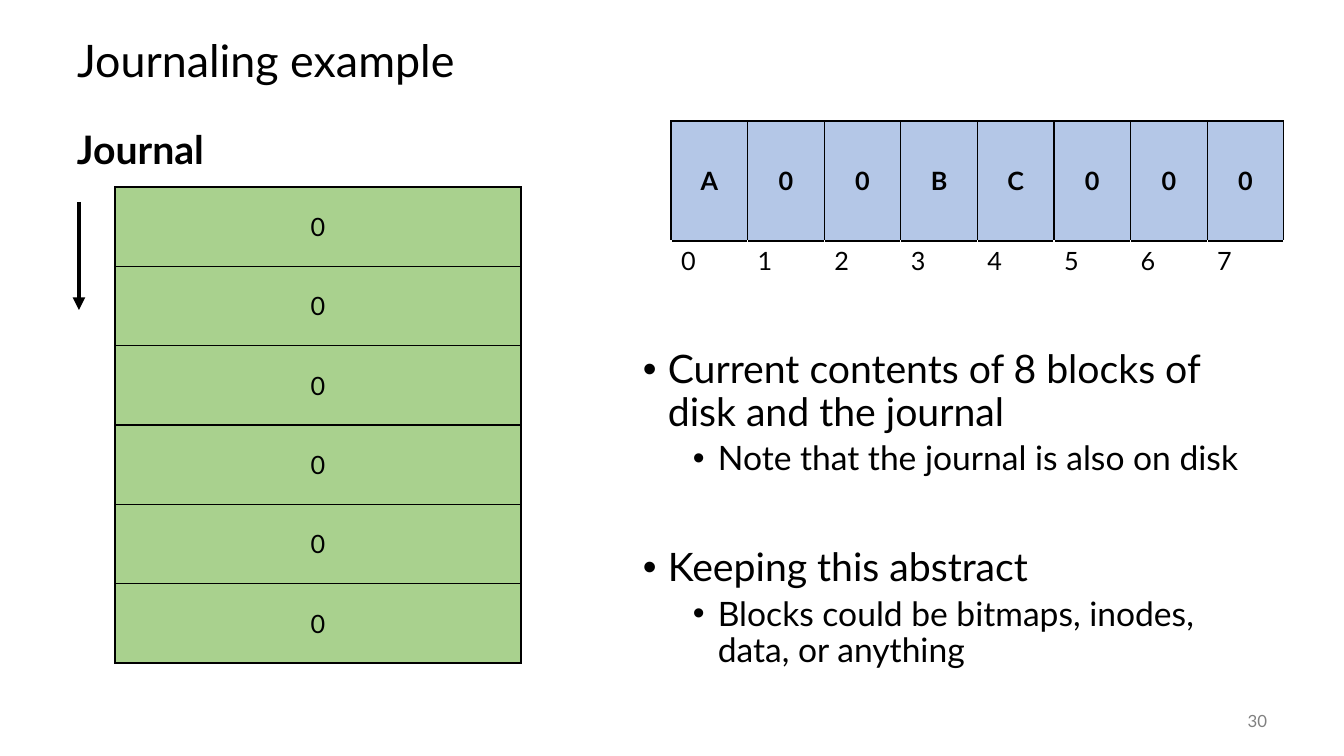
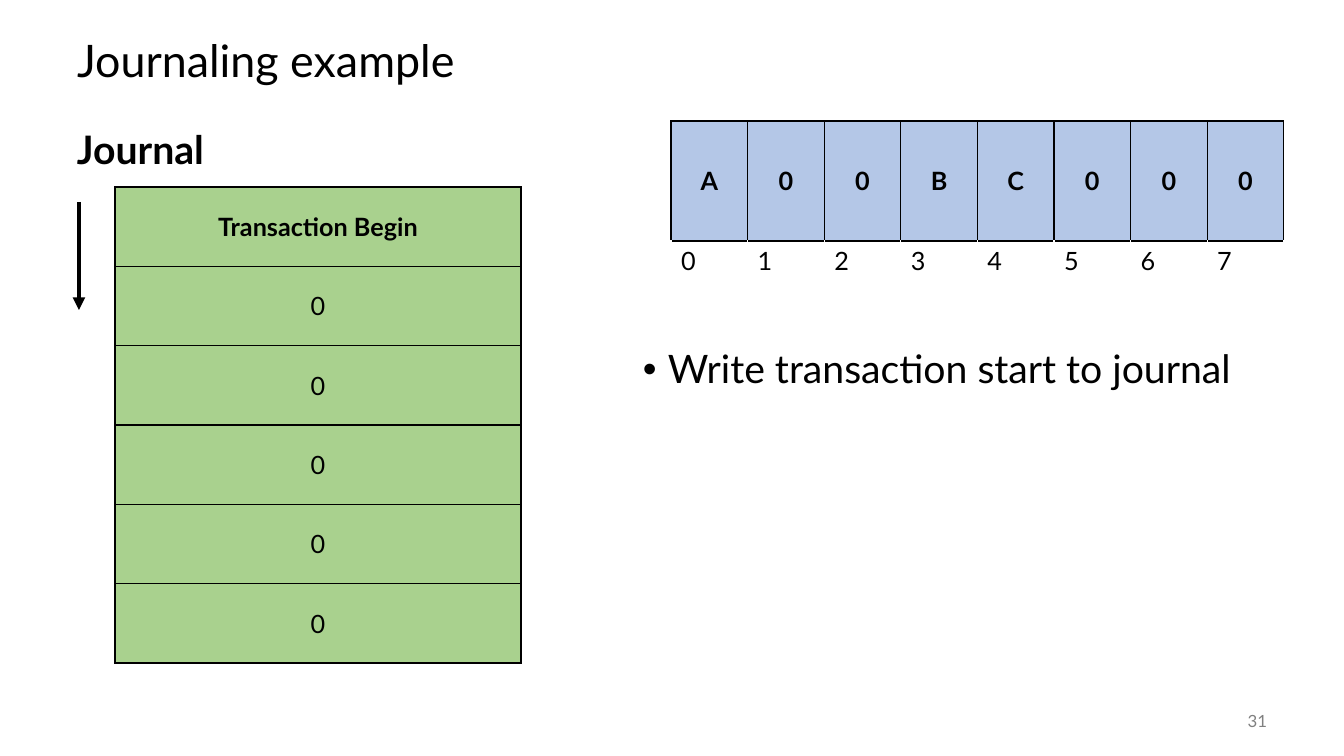
from dataclasses import dataclass
from typing import NamedTuple

import pptx
import pptx.dml.color
import pptx.enum.shapes
import pptx.enum.text
import pptx.oxml
import pptx.oxml.ns
import pptx.util

ALIGN = pptx.enum.text.PP_ALIGN
ANCHOR = pptx.enum.text.MSO_ANCHOR


@dataclass(frozen=True)
class Theme:
    font: str = "Lato"
    ink: str = "000000"
    paper: str = "FFFFFF"
    grey: str = "808080"
    blue: str = "B4C7E7"
    green: str = "A9D18E"
    title: int = 32
    head: int = 28
    sub: int = 24
    cell: int = 18
    foot: int = 12


class Box(NamedTuple):
    left: int
    top: int
    width: int
    height: int


class Point(NamedTuple):
    text: str
    level: int = 0
    before: int = 0


class Page(NamedTuple):
    number: int
    journal: list[str]
    points: list[Point]


THEME = Theme()
SLIDE = Box(0, 0, 1344, 756)
TITLE = Box(67, 25, 1210, 76)
HEAD = Box(67, 126, 580, 554)
NOTES = Box(633, 345, 644, 336)
NUMBER = Box(1176, 701, 101, 40)
DISK = Box(671, 121, 613, 174)
JOURNAL = Box(115, 187, 406, 476)
ARROW = Box(79, 202, 0, 108)
BLOCKS = ["A", "0", "0", "B", "C", "0", "0", "0"]
BLOCK_H, LABEL_H = 120, 54
LINE = 0.9

PAGES = [
    Page(30, ["0"] * 6, [
        Point("Current contents of 8 blocks of disk and the journal"),
        Point("Note that the journal is also on disk", 1, 5),
        Point("Keeping this abstract", before=50),
        Point("Blocks could be bitmaps, inodes, data, or anything", 1, 5),
    ]),
    Page(31, ["Transaction Begin"] + ["0"] * 5, [
        Point("Write transaction start to journal"),
    ]),
]


# Units and small helpers
def emu(px: float) -> int:
    return round(px * 914400 / 100.8)


def place(box: Box) -> list[int]:
    return [emu(side) for side in box]


def rgb(tone: str) -> pptx.dml.color.RGBColor:
    return pptx.dml.color.RGBColor.from_string(tone)


def xml(body: str):
    space = pptx.oxml.ns.nsdecls("a")
    return pptx.oxml.parse_xml(body.replace(" ", f" {space} ", 1))


# Text
def write(frame, text: str, *, size: int, tone: str = THEME.ink,
          bold: bool = False, align=ALIGN.LEFT, line: float = 1,
          before: int = 0, level: int | None = None) -> None:
    """Fill the first empty paragraph or add one; a level gives a bullet."""
    para = frame.add_paragraph() if frame.text else frame.paragraphs[0]
    if level is not None:
        para.level = level
        props = para._p.get_or_add_pPr()
        props.set("marL", str(emu(25 + 50 * level)))
        props.set("indent", str(emu(-25)))
        props.append(xml('<a:buFont typeface="Arial"/>'))
        props.append(xml('<a:buChar char="•"/>'))
    para.alignment = align
    para.line_spacing = line
    if before:
        para.space_before = pptx.util.Pt(before)
    run = para.add_run()
    run.text = text
    run.font.name = THEME.font
    run.font.size = pptx.util.Pt(size)
    run.font.bold = bold
    run.font.color.rgb = rgb(tone)


def add_box(slide, box: Box, anchor=ANCHOR.TOP):
    frame = slide.shapes.add_textbox(*place(box)).text_frame
    frame.word_wrap = True
    frame.vertical_anchor = anchor
    return frame


# Tables
def add_grid(slide, box: Box, rows: list[int], cols: int):
    frame = slide.shapes.add_table(len(rows), cols, *place(box))
    grid = frame.table
    grid.first_row = grid.horz_banding = False
    for col in grid.columns:
        col.width = emu(box.width / cols)
    for row, tall in zip(grid.rows, rows):
        row.height = emu(tall)
    return grid


def fill_cell(cell, text: str, *, fill: str | None = None,
              bold: bool = False) -> None:
    """A filled cell is framed and centred; an unfilled one is a label."""
    props = cell._tc.get_or_add_tcPr()
    for side in "LRTB":
        tone = THEME.ink if fill or side == "T" else THEME.paper
        props.append(xml(f'<a:ln{side} w="12700"><a:solidFill>'
                         f'<a:srgbClr val="{tone}"/></a:solidFill>'
                         f'</a:ln{side}>'))
    if fill:
        cell.fill.solid()
        cell.fill.fore_color.rgb = rgb(fill)
        cell.vertical_anchor = ANCHOR.MIDDLE
    else:
        cell.fill.background()
    write(cell.text_frame, text, size=THEME.cell, bold=bold,
          align=ALIGN.CENTER if fill else ALIGN.LEFT)


def add_disk(slide) -> None:
    grid = add_grid(slide, DISK, [BLOCK_H, LABEL_H], len(BLOCKS))
    for col, block in enumerate(BLOCKS):
        fill_cell(grid.cell(0, col), block, fill=THEME.blue, bold=True)
        fill_cell(grid.cell(1, col), str(col))


def add_journal(slide, items: list[str]) -> None:
    tall = JOURNAL.height / len(items)
    grid = add_grid(slide, JOURNAL, [tall] * len(items), 1)
    for row, item in enumerate(items):
        fill_cell(grid.cell(row, 0), item, fill=THEME.green, bold=item != "0")


# Arrow
def add_arrow(slide, box: Box) -> None:
    left, top, width, height = place(box)
    arrow = slide.shapes.add_connector(
        pptx.enum.shapes.MSO_CONNECTOR.STRAIGHT,
        left, top, left + width, top + height)
    arrow.line.color.rgb = rgb(THEME.ink)
    arrow.line.width = pptx.util.Pt(3)
    arrow.line._get_or_add_ln().append(xml('<a:tailEnd type="triangle"/>'))
    arrow._element.spPr.append(xml("<a:effectLst />"))


# Slides
def add_page(deck, page: Page) -> None:
    slide = deck.slides.add_slide(deck.slide_layouts[5])
    title = slide.shapes.title
    title.left, title.top, title.width, title.height = place(TITLE)
    title.text_frame.vertical_anchor = ANCHOR.MIDDLE
    write(title.text_frame, "Journaling example", size=THEME.title, line=LINE)

    write(add_box(slide, HEAD), "Journal", size=THEME.head, bold=True,
          line=LINE)
    write(add_box(slide, NUMBER, ANCHOR.MIDDLE), str(page.number),
          size=THEME.foot, tone=THEME.grey, align=ALIGN.RIGHT)
    notes = add_box(slide, NOTES)
    for point in page.points:
        write(notes, point.text, size=THEME.sub if point.level else THEME.head,
              line=LINE, before=point.before, level=point.level)

    add_disk(slide)
    add_journal(slide, page.journal)
    add_arrow(slide, ARROW)


def main() -> None:
    deck = pptx.Presentation()
    deck.slide_width, deck.slide_height = emu(SLIDE.width), emu(SLIDE.height)
    for page in PAGES:
        add_page(deck, page)
    deck.save("out.pptx")


if __name__ == "__main__":
    main()
